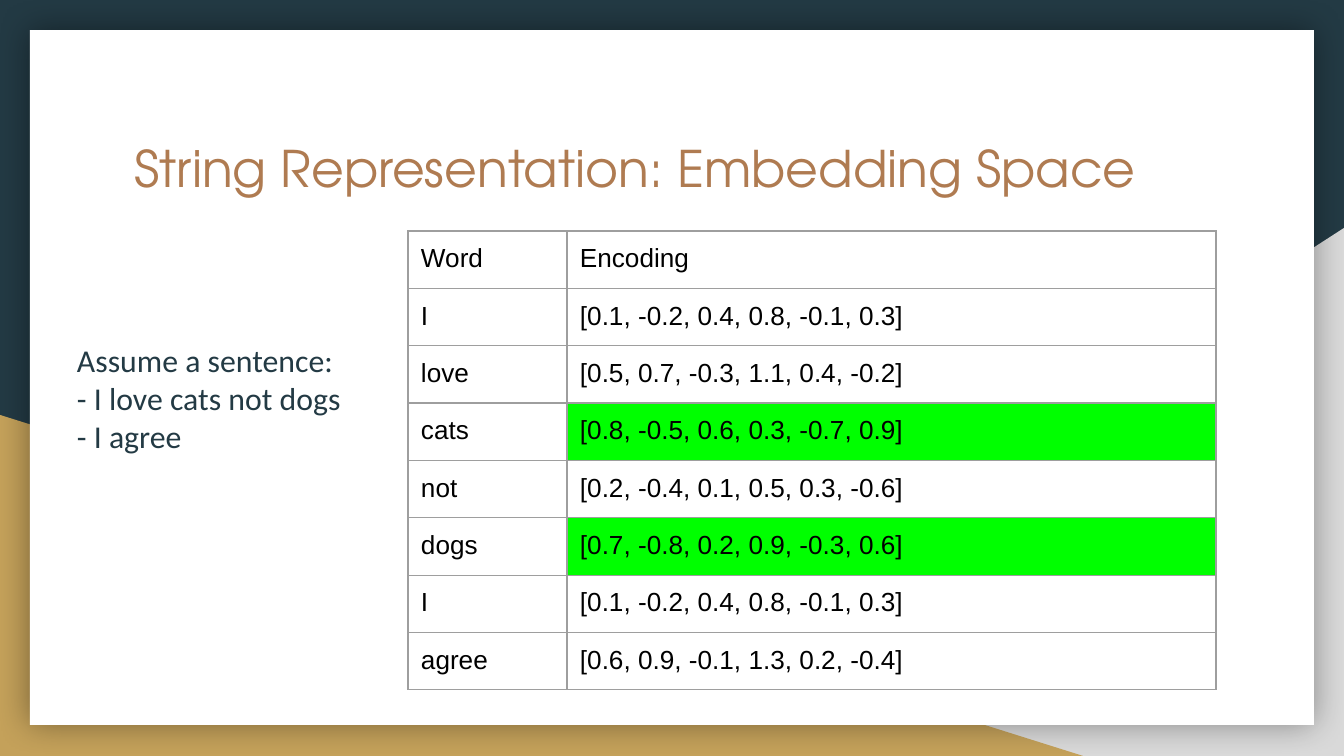
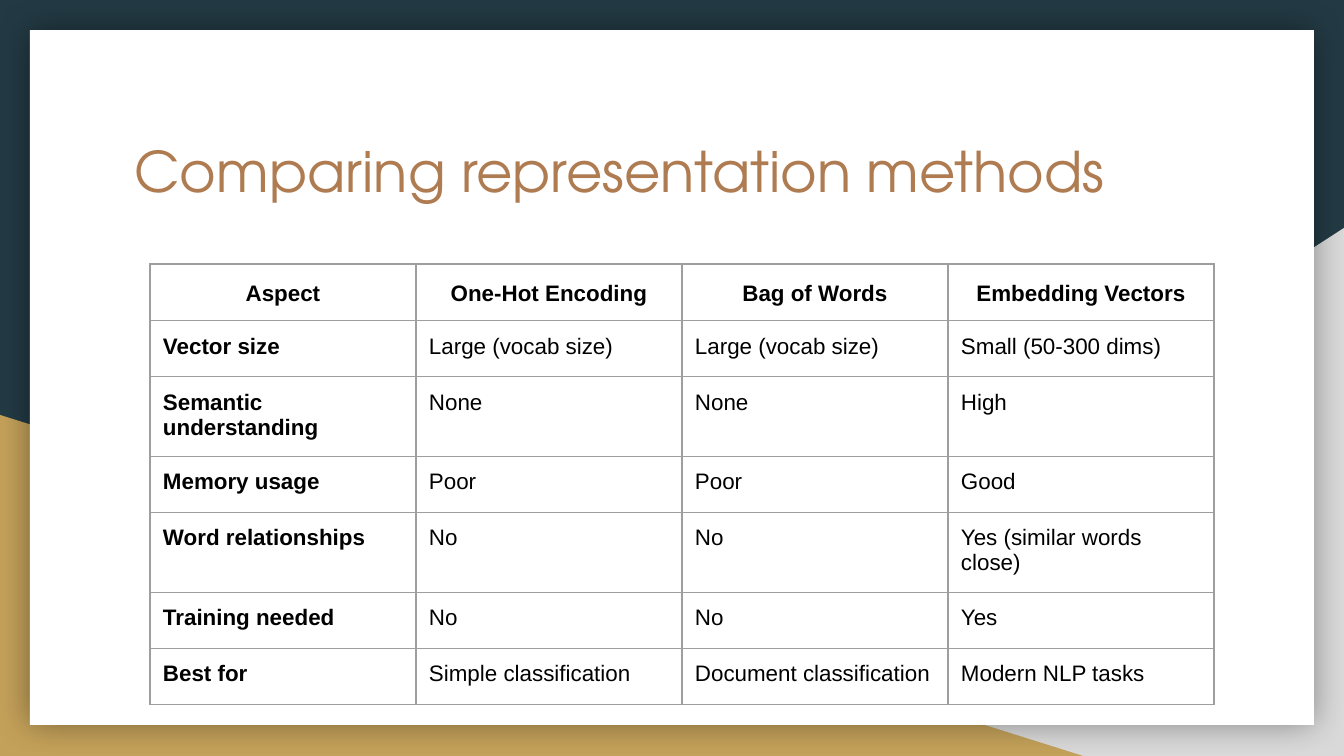
from lxml import etree
from pptx import Presentation
from pptx import util as u
from pptx.dml.color import RGBColor
from pptx.enum import shapes, text
from pptx.oxml import ns

PX = 914400 / 134.4
PAD = 13

NAVY = RGBColor(0x23, 0x3A, 0x44)
GOLD = RGBColor(0xC4, 0xA1, 0x5A)
SILVER = RGBColor(0xD9, 0xD9, 0xD9)
WHITE = RGBColor(0xFF, 0xFF, 0xFF)
BLACK = RGBColor(0, 0, 0)
COPPER = RGBColor(0xAF, 0x7B, 0x51)
GREEN = RGBColor(0, 0xFF, 0)
GRAY = RGBColor(0x9E, 0x9E, 0x9E)

HEAD = "TeX Gyre Adventor"
BODY = "Calibri"
CELL = "Arial"

LEFT = text.PP_ALIGN.LEFT
MID = text.PP_ALIGN.CENTER
JUST = text.PP_ALIGN.JUSTIFY

WORDS = [
    ("Word", "Encoding"),
    ("I", "[0.1, -0.2, 0.4, 0.8, -0.1, 0.3]"),
    ("love", "[0.5, 0.7, -0.3, 1.1, 0.4, -0.2]"),
    ("cats", "[0.8, -0.5, 0.6, 0.3, -0.7, 0.9]"),
    ("not", "[0.2, -0.4, 0.1, 0.5, 0.3, -0.6]"),
    ("dogs", "[0.7, -0.8, 0.2, 0.9, -0.3, 0.6]"),
    ("I", "[0.1, -0.2, 0.4, 0.8, -0.1, 0.3]"),
    ("agree", "[0.6, 0.9, -0.1, 1.3, 0.2, -0.4]"),
]

METHODS = [
    ("Aspect", "One-Hot Encoding", "Bag of Words", "Embedding Vectors"),
    ("Vector size", "Large (vocab size)", "Large (vocab size)", "Small (50-300 dims)"),
    ("Semantic understanding", "None", "None", "High"),
    ("Memory usage", "Poor", "Poor", "Good"),
    ("Word relationships", "No", "No", "Yes (similar words close)"),
    ("Training needed", "No", "No", "Yes"),
    ("Best for", "Simple classification", "Document classification", "Modern NLP tasks"),
]


def px(*vals):
    return [u.Emu(round(v * PX)) for v in vals]


def sub(node, tag, **attrs):
    return etree.SubElement(node, ns.qn(tag), attrs)


class Deck:
    def __init__(self):
        self.prs = Presentation()
        self.prs.slide_width, self.prs.slide_height = px(1344, 756)
        self.slide = None

    def page(self, title, size):
        """Start a slide with the shared backdrop and a title."""
        self.slide = self.prs.slides.add_slide(self.prs.slide_layouts[6])
        fill = self.slide.background.fill
        fill.solid()
        fill.fore_color.rgb = NAVY
        corner = shapes.MSO_SHAPE.RIGHT_TRIANGLE
        right = self.shape(corner, (527, 228, 817, 528), SILVER)
        right.element.spPr.find(ns.qn("a:xfrm")).set("flipH", "1")
        self.shape(corner, (0, 415, 1083, 341), GOLD)
        card = self.shape(shapes.MSO_SHAPE.RECTANGLE, (30, 30, 1284, 695), WHITE)
        self.glow(card)
        self.label(title, (121, 124, 1103, 140), HEAD, size, COPPER)

    def shape(self, kind, box, color):
        item = self.slide.shapes.add_shape(kind, *px(*box))
        item.shadow.inherit = False
        item.fill.solid()
        item.fill.fore_color.rgb = color
        item.line.fill.background()
        return item

    def glow(self, item):
        """Give the shape a soft shadow on all sides."""
        effects = item.element.spPr.find(ns.qn("a:effectLst"))
        shade = sub(effects, "a:outerShdw", blurRad=str(u.Pt(18)), dist="0",
                    algn="ctr", rotWithShape="0")
        color = sub(shade, "a:srgbClr", val=str(BLACK))
        sub(color, "a:alpha", val="40000")

    def style(self, para, font, size, color, bold=False):
        for run in para.runs:
            run.font.name = font
            run.font.size = u.Pt(size)
            run.font.color.rgb = color
            run.font.bold = bold

    def label(self, words, box, font, size, color):
        frame = self.slide.shapes.add_textbox(*px(*box)).text_frame
        frame.word_wrap = True
        (frame.margin_left, frame.margin_top,
         frame.margin_right, frame.margin_bottom) = px(*[PAD] * 4)
        frame.text = words
        for para in frame.paragraphs:
            self.style(para, font, size, color)
        return frame

    def table(self, rows, left, top, cols, high, size):
        box = px(left, top, sum(cols), high * len(rows))
        grid = self.slide.shapes.add_table(len(rows), len(cols), *box).table
        grid.first_row = grid.horz_banding = False
        for col, wide in zip(grid.columns, px(*cols)):
            col.width = wide
        for r, row in enumerate(rows):
            grid.rows[r].height = px(high)[0]
            for c, words in enumerate(row):
                self.cell(grid.cell(r, c), words, size)
        return grid

    def cell(self, cell, words, size):
        (cell.margin_left, cell.margin_top,
         cell.margin_right, cell.margin_bottom) = px(*[PAD] * 4)
        cell.fill.background()
        cell.text = words
        para = cell.text_frame.paragraphs[0]
        para.alignment = LEFT
        self.style(para, CELL, size, BLACK)
        props = cell._tc.get_or_add_tcPr()
        for i, side in enumerate("LRTB"):
            line = sub(props, f"a:ln{side}", w=str(u.Pt(0.75)))
            sub(sub(line, "a:solidFill"), "a:srgbClr", val=str(GRAY))
            props.insert(i, line)


def embed(deck):
    deck.page("String Representation: Embedding Space", 27)
    grid = deck.table(WORDS, 408, 231, [159, 649], 56, 14)
    for r, (word, _) in enumerate(WORDS):
        code = grid.cell(r, 1)
        if r:
            code.text_frame.paragraphs[0].alignment = JUST
        if word in ("cats", "dogs"):
            code.fill.solid()
            code.fill.fore_color.rgb = GREEN
    note = deck.label("Assume a sentence:\v- I love cats not dogs\n- I agree",
                      (64, 328, 311, 142), BODY, 17, NAVY)
    note.auto_size = text.MSO_AUTO_SIZE.SHAPE_TO_FIT_TEXT


def compare(deck):
    deck.page("Comparing representation methods", 30)
    grid = deck.table(METHODS, 150, 264, [266] * 4, 56, 12)
    for r, row in enumerate(METHODS):
        for c in range(len(row)):
            para = grid.cell(r, c).text_frame.paragraphs[0]
            if r == 0:
                para.alignment = MID
                para.line_spacing = 1.15
            if r == 0 or c == 0:
                para.runs[0].font.bold = True


def main():
    deck = Deck()
    embed(deck)
    compare(deck)
    deck.prs.save("out.pptx")


if __name__ == "__main__":
    main()
